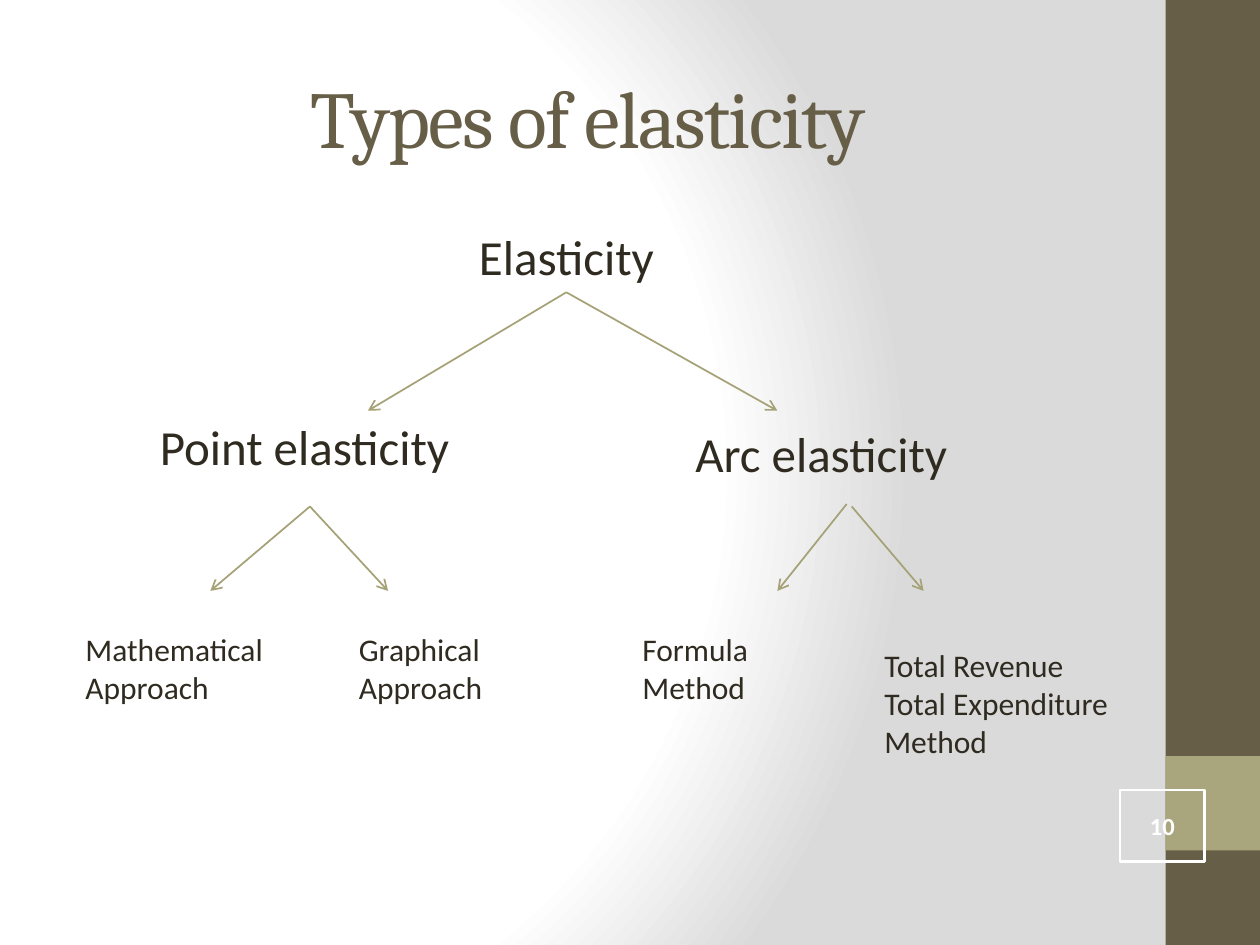
from lxml import etree
from pptx import Presentation
from pptx.dml.color import RGBColor
from pptx.enum.shapes import MSO_CONNECTOR, MSO_SHAPE
from pptx.enum.text import MSO_ANCHOR, MSO_AUTO_SIZE, PP_ALIGN
from pptx.oxml import parse_xml
from pptx.oxml.ns import nsdecls, qn
from pptx.util import Inches, Pt

BROWN = RGBColor(0x67, 0x5E, 0x47)
OLIVE = RGBColor(0xA9, 0xA5, 0x7C)
ARROW = RGBColor(0xA6, 0xA2, 0x78)
INK = RGBColor(0x2F, 0x2B, 0x20)
WHITE = RGBColor(0xFF, 0xFF, 0xFF)

# Content: text, size, left, top, width, height
TITLE = "Types of elasticity"
ROOT = "Elasticity"
LABELS = [
    (ROOT, 28, 3.39, 1.75, 2.21, 0.57),
    ("Point elasticity", 28, 1.17, 3.26, 3.06, 0.57),
    ("Arc elasticity", 28, 5.42, 3.31, 3, 0.57),
    ("Mathematical Approach", 18, 0.58, 4.95, 1.88, 0.71),
    ("Graphical Approach", 18, 2.75, 4.95, 1.52, 0.71),
    ("Formula Method", 18, 5, 4.95, 1.44, 0.71),
    ("Total Revenue\nTotal Expenditure Method", 18, 6.92, 5.08, 2.58, 1.01),
]
# Arrows: start x, start y, end x, end y
TOP_ARROWS = [(4.5, 2.32, 2.92, 3.26), (4.5, 2.32, 6.17, 3.26)]
LOW_ARROWS = [
    (2.46, 4.02, 1.67, 4.69),
    (2.46, 4.02, 3.08, 4.69),
    (6.72, 4, 6.17, 4.69),
    (6.76, 4.02, 7.33, 4.69),
]
STOPS = [(0, "FFFFFF"), (75, "FFFFFF"), (100, "DADADA")]

deck = Presentation()
deck.slide_width, deck.slide_height = Inches(10), Inches(7.5)
slide = deck.slides.add_slide(deck.slide_layouts[5])
shapes = slide.shapes


def style(frame, size, color, align, font="Calibri", bold=False):
    for para in frame.paragraphs:
        para.alignment = align
        for run in para.runs:
            run.font.name, run.font.size = font, Pt(size)
            run.font.bold = bold
            run.font.color.rgb = color


def add_box(x, y, w, h, fill=None):
    box = shapes.add_shape(MSO_SHAPE.RECTANGLE, *map(Inches, (x, y, w, h)))
    box.shadow.inherit = False
    if fill is None:
        box.fill.background()
    else:
        box.fill.solid()
        box.fill.fore_color.rgb = fill
        box.line.fill.background()
    return box


def add_label(text, size, x, y, w, h):
    label = shapes.add_textbox(*map(Inches, (x, y, w, h)))
    frame = label.text_frame
    frame.word_wrap = True
    frame.auto_size = MSO_AUTO_SIZE.SHAPE_TO_FIT_TEXT
    frame.text = text
    style(frame, size, INK, PP_ALIGN.CENTER if text == ROOT else PP_ALIGN.LEFT)
    return label


def add_arrow(*ends):
    arrow = shapes.add_connector(MSO_CONNECTOR.STRAIGHT, *map(Inches, ends))
    arrow.line.color.rgb = ARROW
    arrow.line.width = Pt(1)
    line = arrow.line.fill and arrow.element.spPr.find(qn("a:ln"))
    etree.SubElement(line, qn("a:tailEnd"), type="arrow")
    etree.SubElement(arrow.element.spPr, qn("a:effectLst"))
    return arrow


# Background: circular gradient
slide.background.fill.gradient()
old = slide.element.find(".//" + qn("a:gradFill"))
stops = "".join(
    f'<a:gs pos="{pos * 1000}"><a:srgbClr val="{color}"/></a:gs>'
    for pos, color in STOPS
)
old.getparent().replace(old, parse_xml(
    f'<a:gradFill {nsdecls("a")} rotWithShape="1"><a:gsLst>{stops}</a:gsLst>'
    '<a:path path="circle"><a:fillToRect l="20000" t="50000" r="100000" '
    'b="50000"/></a:path></a:gradFill>'
))

# Side band
add_box(9.25, 0, 0.75, 7.5, BROWN)
add_box(9.25, 6, 0.75, 0.75, OLIVE)

# Title
title = shapes.title
title.left, title.top = Inches(0.5), Inches(0.3)
title.width, title.height = Inches(8.33), Inches(1.25)
frame = title.text_frame
frame.text = TITLE
frame.vertical_anchor = MSO_ANCHOR.MIDDLE
style(frame, 46, BROWN, PP_ALIGN.CENTER, "Cambria")
frame.paragraphs[0].runs[0].font._element.set("spc", "-100")

# Tree of labels and arrows
labels = {row[0]: add_label(*row) for row in LABELS}
for ends in TOP_ARROWS:
    add_arrow(*ends).begin_connect(labels[ROOT], 2)
for ends in LOW_ARROWS:
    add_arrow(*ends)

# Slide number
badge = add_box(8.89, 6.27, 0.67, 0.57)
badge.line.color.rgb = WHITE
badge.line.width = Pt(1.5)
frame = badge.text_frame
frame.margin_left = frame.margin_right = 0
frame.margin_top = frame.margin_bottom = 0
frame.vertical_anchor = MSO_ANCHOR.MIDDLE
frame.text = "10"
style(frame, 14, WHITE, PP_ALIGN.CENTER, bold=True)

deck.save("out.pptx")
